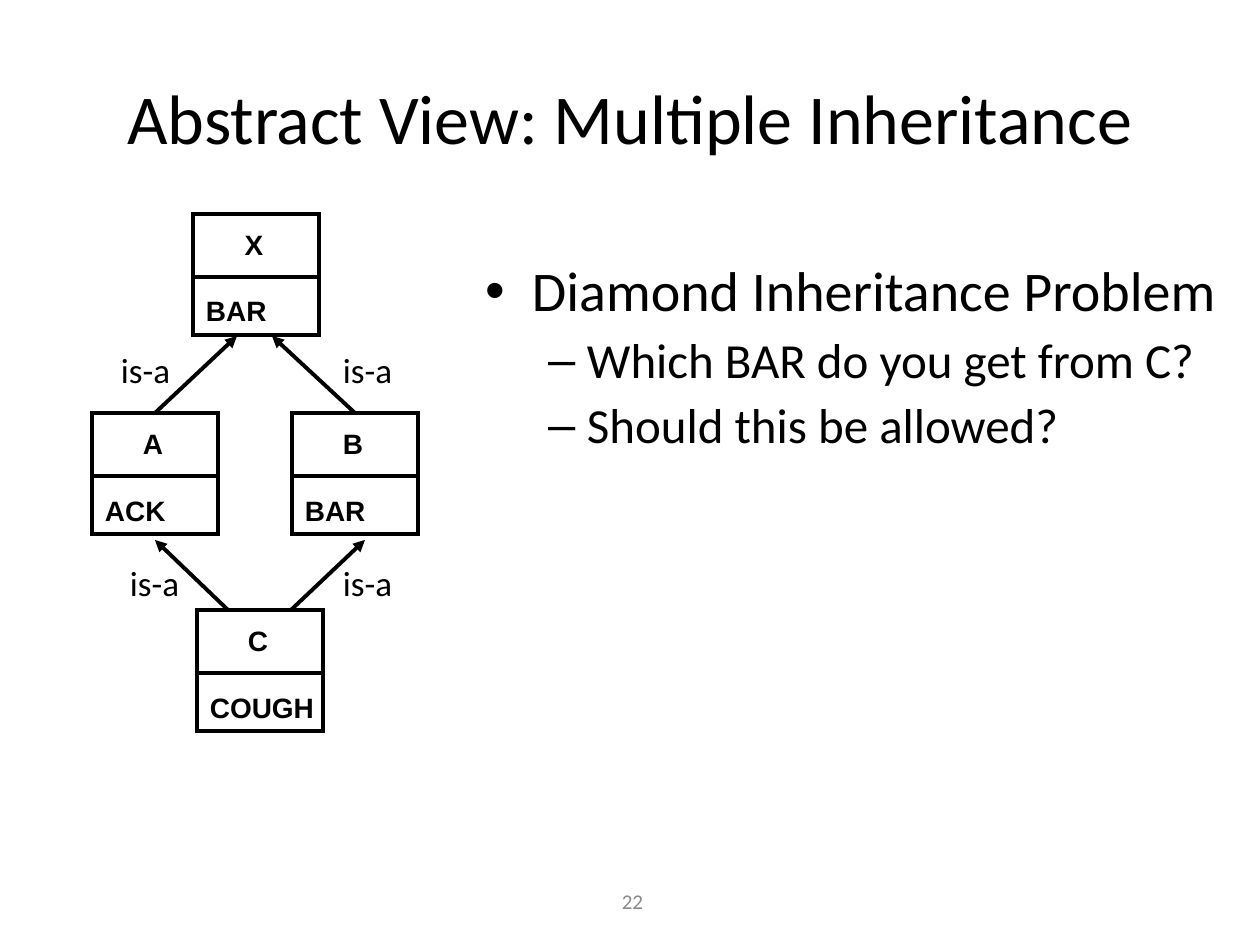
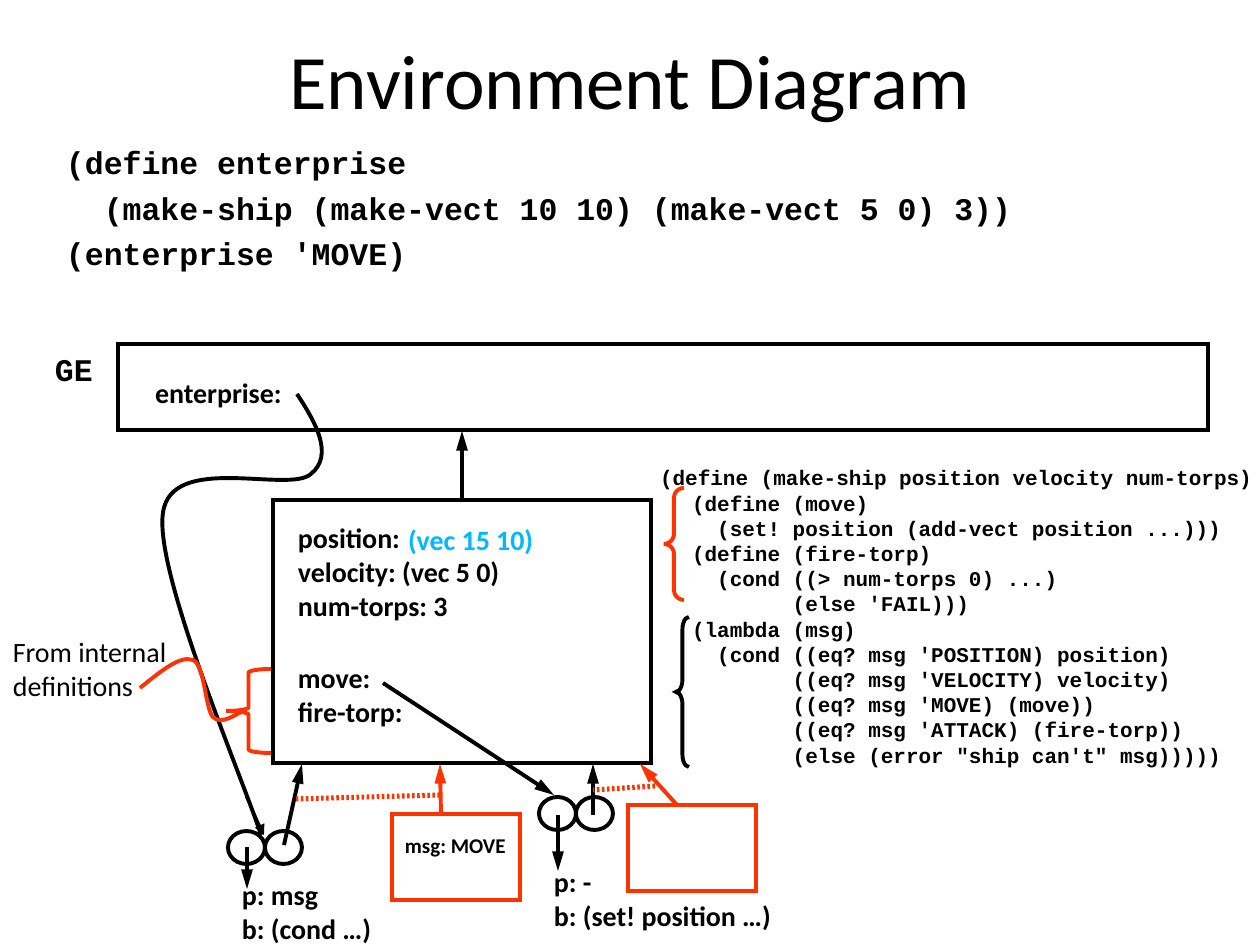
from dataclasses import dataclass

from lxml import etree
from pptx import Presentation
from pptx.dml.color import RGBColor
from pptx.enum.shapes import MSO_CONNECTOR, MSO_SHAPE
from pptx.enum.text import MSO_ANCHOR, PP_ALIGN
from pptx.oxml.ns import qn
from pptx.util import Pt

PX = 914400 / 126
SLIDE_SIZE = (1260, 945)


@dataclass(frozen=True)
class Theme:
    ink: str = "000000"
    accent: str = "FF3300"
    changed: str = "00B8FF"
    muted: str = "898989"
    sans: str = "Calibri"
    label: str = "Arial"
    mono: str = "Courier New"
    small: int = 12
    note: int = 16
    code: int = 18
    link: int = 20
    line: float = 2.25
    thin: float = 1.45
    dots: float = 2.89


T = Theme()

# ---- Content: multiple inheritance ----
INHERITANCE_TITLE = ("Abstract View: Multiple Inheritance", (63, 29, 1134, 176), 40)
PAGE_NUMBER = ("22", (433, 876, 399, 50))
# class name, member, left, top
CLASSES = [("X", "BAR", 193, 214), ("A", "ACK", 92, 413),
           ("B", "BAR", 292, 413), ("C", "COUGH", 197, 610)]
CLASS_WIDTH, NAME_HEIGHT, MEMBER_HEIGHT = 126, 63, 58
# start, end, class whose top middle is the start
IS_A_ARROWS = [((355, 413), (272, 336), "B"), ((155, 413), (237, 336), "A"),
               ((228, 610), (155, 540), None), ((291, 610), (365, 540), None)]
IS_A_LABELS = [(330, 342), (108, 342), (330, 555), (117, 555)]
# text, size, bullet, left margin, hanging, space before
POINTS = [("Diamond Inheritance Problem", 32, "•", 47, 47, 0),
          ("Which BAR do you get from C?", 28, "–", 102, 39, 7),
          ("Should this be allowed?", 28, "–", 102, 39, 7)]
POINTS_BOX = (472, 257, 788, 315)

# ---- Content: environment diagram ----
DIAGRAM_TITLE = ("Environment Diagram", (63, 0, 1134, 158), 44)
CALLS = ["(define enterprise",
         "  (make-ship (make-vect 10 10) (make-vect 5 0) 3))",
         "(enterprise 'MOVE)"]
CALLS_BOX = (53, 137, 1166, 266)
MAKE_SHIP = """(define (make-ship position velocity num-torps)
(define (move)
  (set! position (add-vect position ...)))
(define (fire-torp)
  (cond ((> num-torps 0) ...)
        (else 'FAIL)))
(lambda (msg)
  (cond ((eq? msg 'POSITION) position)
        ((eq? msg 'VELOCITY) velocity)
        ((eq? msg 'MOVE) (move))
        ((eq? msg 'ATTACK) (fire-torp))
        (else (error "ship can't" msg)))))"""
MAKE_SHIP_BOX = (647, 459, 613, 378)
GLOBAL_FRAME = (118, 344, 1090, 86)
SHIP_FRAME = (273, 500, 378, 263)
MOVE_FRAME = (392, 814, 128, 86)
EMPTY_FRAME = (628, 805, 128, 86)
# paragraphs, box, bold, colour
NOTES = [(["enterprise:"], (142, 369, 248, 47), True, T.ink),
         (["position:", "velocity: (vec 5 0)", "num-torps: 3"],
          (285, 515, 345, 113), True, T.ink),
         (["(vec 15 10)"], (395, 517, 168, 47), True, T.changed),
         (["move:", "fire-torp:"], (285, 655, 345, 97), True, T.ink),
         (["p: msg", "b: (cond …)"], (229, 872, 273, 73), True, T.ink),
         (["p: -", "b: (set! position …)"], (541, 859, 393, 81), True, T.ink),
         (["From internal definitions"], (0, 629, 212, 81), False, T.ink)]
PROCEDURES = [(228, 831), (539, 797)]
CIRCLE_WIDTH, CIRCLE_HEIGHT = 37, 33
BLACK_ARROWS = [((284, 845), (302, 764)), ((247, 847), (247, 889)),
                ((558, 815), (558, 871)), ((593, 815), (593, 764)),
                ((383, 683), (554, 795))]
RED_ARROWS = [((441, 814), (440, 764)), ((677, 805), (640, 764))]
DOTTED_LINKS = [((440, 795), (294, 799)), ((655, 786), (593, 790))]
# start point, then cubic segments
ENTERPRISE_POINTER = [(297, 394), [(316, 423), (334, 455), (311, 474)],
                      [(289, 494), (171, 452), (163, 513)],
                      [(154, 573), (244, 781), (261, 835)]]
POINTER_HEAD = ((246, 796), (264, 835))
DEFINITIONS_POINTER = [(140, 688), [(160, 672), (180, 655), (193, 660)],
                       [(205, 665), (205, 708), (213, 717)],
                       [(222, 726), (237, 713), (242, 712)]]
# box, corner adjustment, colour
BRACES = [((226, 669, 45, 84), 0.08, T.accent),
          ((664, 488, 20, 112), 0.5, T.accent),
          ((676, 617, 13, 150), 0.95, T.ink)]


# ---- Drawing helpers ----
def emu(*lengths):
    return [round(v * PX) for v in lengths]


def rgb(code):
    return RGBColor.from_string(code)


def add_runs(paragraph, words, size, font, bold, color):
    run = paragraph.add_run()
    run.text = words
    run.font.size, run.font.name, run.font.bold = Pt(size), font, bold
    run.font.color.rgb = rgb(color)


def set_frame(frame, align=PP_ALIGN.LEFT, anchor=MSO_ANCHOR.TOP, top=6, right=13):
    frame.word_wrap = True
    frame.vertical_anchor = anchor
    if align == PP_ALIGN.LEFT:
        right = 0
    (frame.margin_left, frame.margin_top,
     frame.margin_right, frame.margin_bottom) = emu(13, top, right, 6)
    frame.paragraphs[0].alignment = align


def add_text(slide, box, paragraphs, size, font=T.sans, bold=False, color=T.ink,
             align=PP_ALIGN.LEFT, anchor=MSO_ANCHOR.TOP, gap=0):
    frame = slide.shapes.add_textbox(*emu(*box)).text_frame
    set_frame(frame, align, anchor)
    for i, words in enumerate(paragraphs):
        paragraph = frame.add_paragraph() if i else frame.paragraphs[0]
        if i and gap:
            paragraph.space_before = Pt(gap)
        add_runs(paragraph, words, size, font, bold, color)
    return frame


def add_title(slide, words, box, size):
    add_text(slide, box, [words], size, align=PP_ALIGN.CENTER, anchor=MSO_ANCHOR.MIDDLE)


def hang(paragraph, margin, hanging):
    properties = paragraph._p.get_or_add_pPr()
    left, back = emu(margin, hanging)
    properties.set("marL", str(left))
    properties.set("indent", str(-back))
    return properties


def outline(shape, color=T.ink):
    shape.shadow.inherit = False
    shape.fill.background()
    shape.line.color.rgb = rgb(color)
    shape.line.width = Pt(T.line)
    etree.SubElement(shape.element.spPr.find(qn("a:ln")), qn("a:miter"), lim="800000")
    return shape


def add_outline(slide, kind, box, color=T.ink):
    return outline(slide.shapes.add_shape(kind, *emu(*box)), color)


def add_box_text(shape, words, size, font, **layout):
    set_frame(shape.text_frame, **layout)
    add_runs(shape.text_frame.paragraphs[0], words, size, font, True, T.ink)


def add_line(slide, start, end, color=T.ink, width=T.line, head="med"):
    line = slide.shapes.add_connector(MSO_CONNECTOR.STRAIGHT, *emu(*start, *end))
    line.line.color.rgb = rgb(color)
    line.line.width = Pt(width)
    properties = line.element.spPr
    stroke = properties.find(qn("a:ln"))
    if head:
        etree.SubElement(stroke, qn("a:tailEnd"), type="triangle", w="med", len=head)
    else:
        dashes = etree.SubElement(stroke, qn("a:custDash"))
        etree.SubElement(dashes, qn("a:ds"), d="50000", sp="50000")
    etree.SubElement(properties, qn("a:effectLst"))
    return line


def add_curve(slide, course, color):
    start, *segments = course
    builder = slide.shapes.build_freeform(*emu(*start))
    builder.add_line_segments([emu(*point) for segment in segments for point in segment],
                              close=False)
    shape = outline(builder.convert_to_shape(), color)
    # Every three straight steps become one cubic segment
    track = next(shape.element.iter(qn("a:path")))
    steps = track.findall(qn("a:lnTo"))
    for i in range(0, len(steps), 3):
        cubic = etree.SubElement(track, qn("a:cubicBezTo"))
        for step in steps[i:i + 3]:
            cubic.append(step[0])
            track.remove(step)


# ---- Slides ----
def build_inheritance(slide):
    add_title(slide, *INHERITANCE_TITLE)
    number, number_box = PAGE_NUMBER
    add_text(slide, number_box, [number], T.small, color=T.muted,
             align=PP_ALIGN.CENTER, anchor=MSO_ANCHOR.MIDDLE)

    # Class boxes
    headers = {}
    for name, member, left, top in CLASSES:
        header = add_outline(slide, MSO_SHAPE.RECTANGLE, (left, top, CLASS_WIDTH, NAME_HEIGHT))
        add_box_text(header, name, T.note, T.label, align=PP_ALIGN.CENTER, top=14, right=17)
        body = add_outline(slide, MSO_SHAPE.RECTANGLE,
                           (left, top + NAME_HEIGHT, CLASS_WIDTH, MEMBER_HEIGHT))
        add_box_text(body, member, T.note, T.label, top=17)
        headers[name] = header

    # Is-a links
    for start, end, source in IS_A_ARROWS:
        arrow = add_line(slide, start, end)
        if source:
            arrow.begin_connect(headers[source], 0)
    for left, top in IS_A_LABELS:
        add_text(slide, (left, top, 74, 55), ["is-a"], T.link)

    # Discussion points
    frame = add_text(slide, POINTS_BOX, [], T.link)
    for i, (words, size, bullet, margin, hanging, before) in enumerate(POINTS):
        point = frame.add_paragraph() if i else frame.paragraphs[0]
        properties = hang(point, margin, hanging)
        etree.SubElement(properties, qn("a:buFont"), typeface=T.label)
        etree.SubElement(properties, qn("a:buChar"), char=bullet)
        point.line_spacing = 0.9
        if before:
            point.space_before = Pt(before)
        add_runs(point, words, size, T.sans, False, T.ink)


def build_environment(slide):
    add_title(slide, *DIAGRAM_TITLE)
    add_text(slide, CALLS_BOX, CALLS, T.code, T.mono, True, gap=4.5)

    # Frames
    add_outline(slide, MSO_SHAPE.RECTANGLE, GLOBAL_FRAME)
    add_text(slide, (42, 344, 63, 50), ["GE"], T.code, T.mono, True)
    ship = add_outline(slide, MSO_SHAPE.RECTANGLE, SHIP_FRAME)
    add_line(slide, (462, 500), (462, 431), head="lg").begin_connect(ship, 0)
    move = add_outline(slide, MSO_SHAPE.RECTANGLE, MOVE_FRAME, T.accent)
    add_box_text(move, "msg: MOVE", T.small, T.sans, top=19)
    add_outline(slide, MSO_SHAPE.RECTANGLE, EMPTY_FRAME, T.accent)
    for paragraphs, box, bold, color in NOTES:
        add_text(slide, box, paragraphs, T.note, bold=bold, color=color)

    # Procedures and arrows
    for left, top in PROCEDURES:
        for column in range(2):
            add_outline(slide, MSO_SHAPE.OVAL,
                        (left + column * CIRCLE_WIDTH, top, CIRCLE_WIDTH, CIRCLE_HEIGHT))
    for color, arrows in ((T.ink, BLACK_ARROWS), (T.accent, RED_ARROWS)):
        for start, end in arrows:
            add_line(slide, start, end, color, head="lg")
    for start, end in DOTTED_LINKS:
        add_line(slide, start, end, T.accent, T.dots, head=None)
    add_curve(slide, ENTERPRISE_POINTER, T.ink)
    add_line(slide, *POINTER_HEAD, width=T.thin)
    add_curve(slide, DEFINITIONS_POINTER, T.accent)

    # Constructor listing and braces
    listing = add_text(slide, MAKE_SHIP_BOX, [], T.small).paragraphs[0]
    hang(listing, 32, 32)
    listing.line_spacing = Pt(14.4)
    for i, code_line in enumerate(MAKE_SHIP.splitlines()):
        if i:
            listing.add_line_break()
        add_runs(listing, code_line, T.small, T.mono, True, T.ink)
    for box, corner, color in BRACES:
        brace = add_outline(slide, MSO_SHAPE.LEFT_BRACE, box, color)
        brace.adjustments[0] = corner


def main():
    deck = Presentation()
    deck.slide_width, deck.slide_height = emu(*SLIDE_SIZE)
    for build in (build_inheritance, build_environment):
        build(deck.slides.add_slide(deck.slide_layouts[6]))
    deck.save("out.pptx")


if __name__ == "__main__":
    main()
